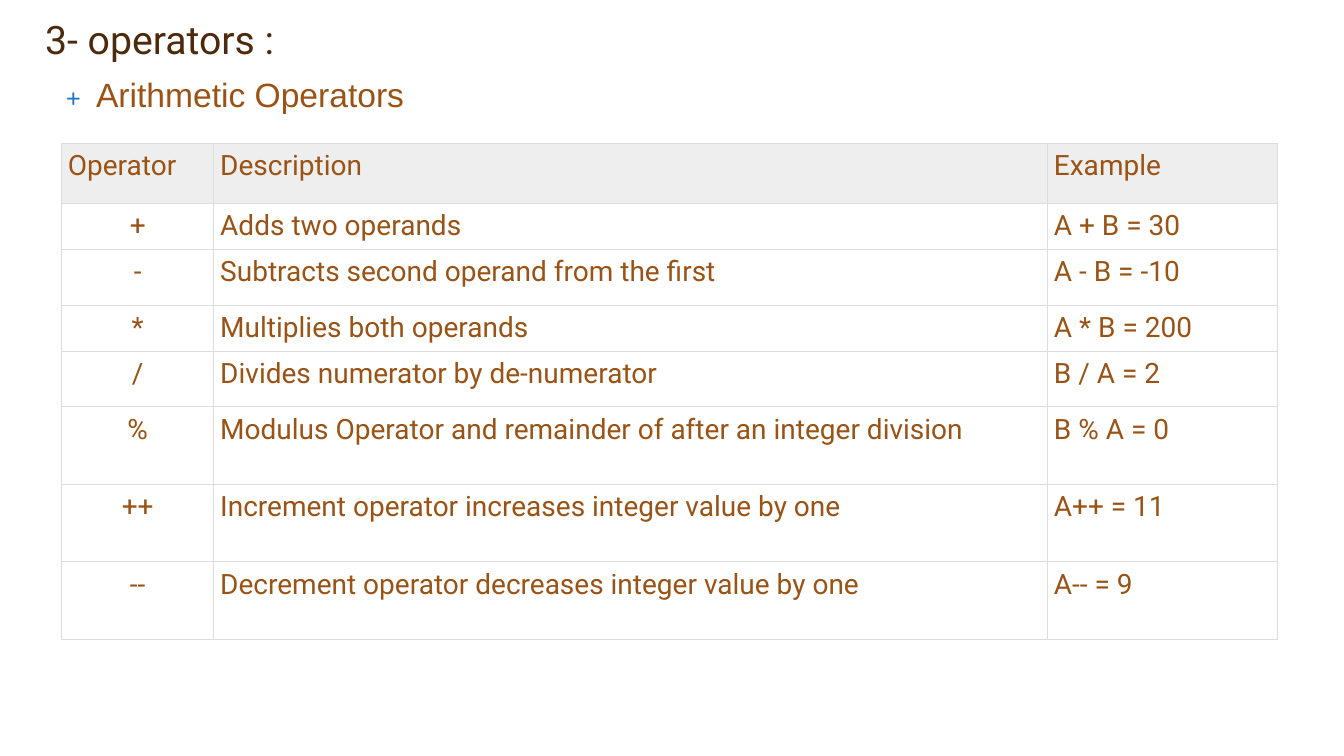
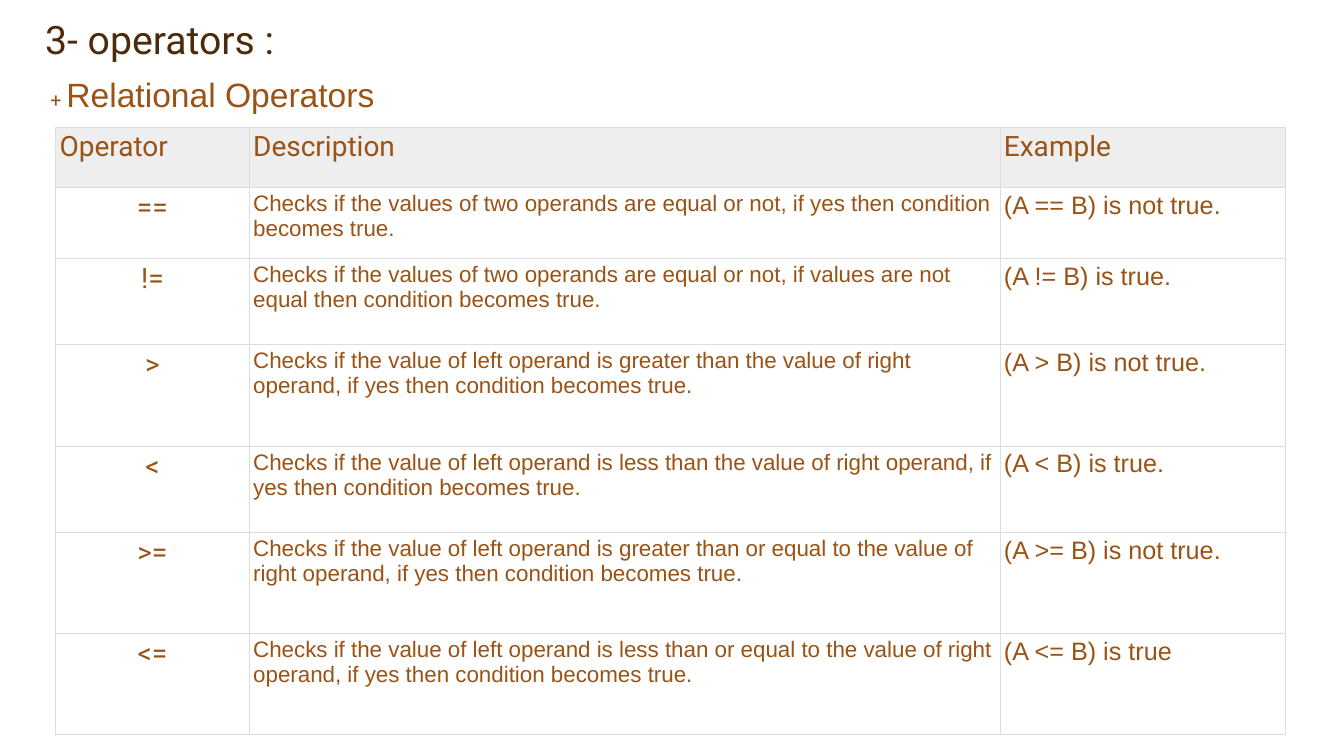
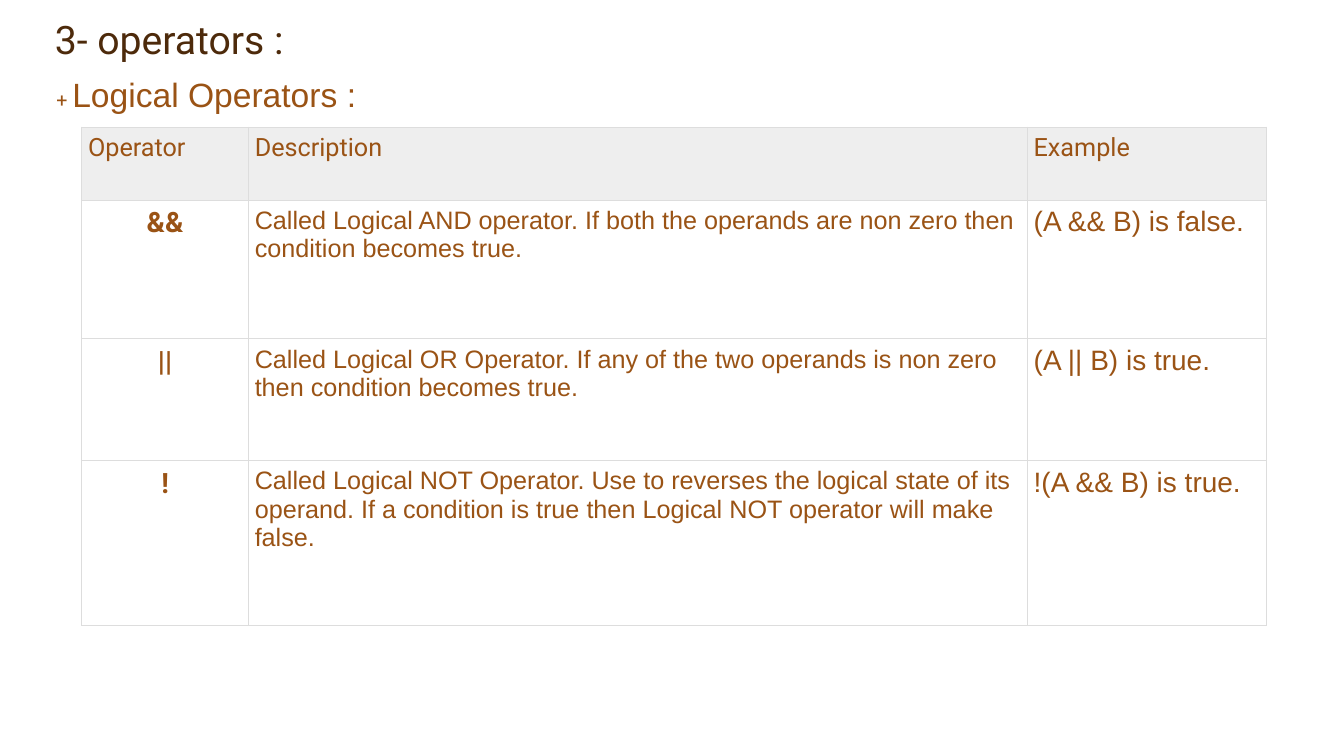
"""Build three slides that list operators in tables."""
from dataclasses import dataclass

from lxml.etree import SubElement
from pptx import Presentation
from pptx.dml.color import RGBColor
from pptx.enum.text import MSO_ANCHOR, MSO_AUTO_SIZE, PP_ALIGN
from pptx.oxml.ns import qn
from pptx.util import Cm, Pt

DARK_BROWN = RGBColor(0x4D, 0x2A, 0x0B)
BROWN = RGBColor(0x9A, 0x53, 0x15)
BLUE = RGBColor(0x1A, 0x72, 0xCB)
HEADER_GREY = RGBColor(0xEE, 0xEE, 0xEE)
BORDER_GREY = RGBColor(0xDD, 0xDD, 0xDD)

TITLE_ONLY = 5
HEADER = ("Operator", "Description", "Example")

ARITHMETIC = [
    ("+", "Adds two operands", "A + B = 30"),
    ("-", "Subtracts second operand from the first", "A - B = -10"),
    ("*", "Multiplies both operands", "A * B = 200"),
    ("/", "Divides numerator by de-numerator", "B / A = 2"),
    ("%", "Modulus Operator and remainder of after an integer division", "B % A = 0"),
    ("++", "Increment operator increases integer value by one", "A++ = 11"),
    ("--", "Decrement operator decreases integer value by one", "A-- = 9"),
]
RELATIONAL = [
    ("==", "Checks if the values of two operands are equal or not, "
           "if yes then condition becomes true.", "(A == B) is not true."),
    ("!=", "Checks if the values of two operands are equal or not, "
           "if values are not equal then condition becomes true.", "(A != B) is true."),
    (">", "Checks if the value of left operand is greater than the value of right operand, "
          "if yes then condition becomes true.", "(A > B) is not true."),
    ("<", "Checks if the value of left operand is less than the value of right operand, "
          "if yes then condition becomes true.", "(A < B) is true."),
    (">=", "Checks if the value of left operand is greater than or equal to the value of "
           "right operand, if yes then condition becomes true.", "(A >= B) is not true."),
    ("<=", "Checks if the value of left operand is less than or equal to the value of "
           "right operand, if yes then condition becomes true.", "(A <= B) is true"),
]
LOGICAL = [
    ("&&", "Called Logical AND operator. If both the operands are non zero "
           "then condition becomes true.", "(A && B) is false."),
    ("||", "Called Logical OR Operator. If any of the two operands is non zero "
           "then condition becomes true.", "(A || B) is true."),
    ("!", "Called Logical NOT Operator. Use to reverses the logical state of its operand. "
          "If a condition is true then Logical NOT operator will make false.",
     "!(A && B) is true."),
]


@dataclass
class TextStyle:
    """Font, size, colour and weight of a run."""
    font: str
    size: int
    color: RGBColor = BROWN
    bold: bool = False


TITLE = TextStyle("Roboto", 28, DARK_BROWN)
HEADING = TextStyle("Arial", 24)
SMALL_PLUS = TextStyle("Roboto", 14)
BLUE_PLUS = TextStyle("Courier New", 18, BLUE)
ROBOTO_20 = TextStyle("Roboto", 20)
ROBOTO_20_BOLD = TextStyle("Roboto", 20, bold=True)
ROBOTO_18 = TextStyle("Roboto", 18)
ARIAL_20 = TextStyle("Arial", 20)
ARIAL_18 = TextStyle("Arial", 18)
ARIAL_16 = TextStyle("Arial", 16)


def add_span(para, text, style):
    """Append a formatted run to a paragraph."""
    span = para.add_run()
    span.text = text
    span.font.name = style.font
    span.font.size = Pt(style.size)
    span.font.bold = style.bold
    span.font.color.rgb = style.color


def add_page(deck, indent):
    """Add a slide with the shared title, indented in centimetres."""
    page = deck.slides.add_slide(deck.slide_layouts[TITLE_ONLY])
    title = page.shapes.title
    title.left, title.top = Cm(0.64), Cm(0.25)
    title.width, title.height = Cm(27.94), Cm(1.47)
    frame = title.text_frame
    frame.auto_size = MSO_AUTO_SIZE.NONE
    frame.vertical_anchor = MSO_ANCHOR.BOTTOM
    frame.margin_left = Cm(indent)
    para = frame.paragraphs[0]
    para.alignment = PP_ALIGN.LEFT
    para.line_spacing = 0.9
    add_span(para, "3- operators :", TITLE)
    return page


def add_heading(page, text, left, plus_style, indent=0.25):
    """Add the line with a plus sign above the table."""
    box = page.shapes.add_textbox(Cm(left), Cm(1.73), Cm(26.14), Cm(1.47))
    frame = box.text_frame
    frame.word_wrap = True
    frame.margin_left = Cm(indent)
    para = frame.paragraphs[0]
    add_span(para, "+ ", plus_style)
    add_span(para, text, HEADING)


def add_borders(cell):
    """Draw a thin grey line on each side of a cell."""
    properties = cell._tc.get_or_add_tcPr()
    for position, side in enumerate(("a:lnL", "a:lnR", "a:lnT", "a:lnB")):
        line = SubElement(properties, qn(side), w=str(Pt(0.75)))
        fill = SubElement(line, qn("a:solidFill"))
        SubElement(fill, qn("a:srgbClr"), val=str(BORDER_GREY))
        properties.insert(position, line)


def fill_cell(cell, text, style, margin, is_header, centered):
    """Write and format one table cell."""
    cell.margin_left = cell.margin_right = Cm(margin)
    cell.margin_top = cell.margin_bottom = Cm(margin)
    if is_header:
        cell.fill.solid()
        cell.fill.fore_color.rgb = HEADER_GREY
    else:
        cell.fill.background()
    add_borders(cell)
    para = cell.text_frame.paragraphs[0]
    para.alignment = PP_ALIGN.CENTER if centered else PP_ALIGN.LEFT
    add_span(para, text, style)


def add_operator_table(page, rows, corner, widths, heights, header_style, styles, margin):
    """Add a table of operators; lengths are in centimetres."""
    left, top = corner
    table = page.shapes.add_table(
        len(rows) + 1, len(HEADER), Cm(left), Cm(top), Cm(sum(widths)), Cm(sum(heights))
    ).table
    table.horz_banding = False
    for column, width in zip(table.columns, widths):
        column.width = Cm(width)
    for row, height in zip(table.rows, heights):
        row.height = Cm(height)
    for row_index, texts in enumerate([HEADER, *rows]):
        is_header = row_index == 0
        for column_index, text in enumerate(texts):
            style = header_style if is_header else styles[column_index]
            centered = not is_header and column_index == 0
            fill_cell(table.cell(row_index, column_index), text, style,
                      margin, is_header, centered)


def main():
    """Build and save the deck."""
    deck = Presentation()
    deck.slide_width, deck.slide_height = Cm(33.87), Cm(19.05)

    page = add_page(deck, 0.5)
    add_heading(page, "Arithmetic Operators", 1.02, BLUE_PLUS, indent=0.64)
    add_operator_table(
        page, ARITHMETIC, (1.55, 3.61), (3.84, 21.01, 5.79),
        (1.51, 1.15, 1.4, 1.15, 1.4, 1.95, 1.95, 1.95),
        ROBOTO_20, (ROBOTO_20, ROBOTO_20, ROBOTO_20), 0.16)

    page = add_page(deck, 0.5)
    add_heading(page, "Relational Operators", 1.02, SMALL_PLUS)
    add_operator_table(
        page, RELATIONAL, (1.4, 3.2), (4.88, 18.92, 7.19),
        (1.52, 1.79, 2.18, 2.55, 2.18, 2.55, 2.55),
        ROBOTO_20, (ROBOTO_20, ARIAL_16, ARIAL_18), 0.1)

    page = add_page(deck, 0.74)
    add_heading(page, "Logical Operators :", 1.17, SMALL_PLUS)
    add_operator_table(
        page, LOGICAL, (2.06, 3.2), (4.2, 19.63, 6.02), (1.84, 3.5, 3.07, 4.14),
        ROBOTO_18, (ROBOTO_20_BOLD, ARIAL_18, ARIAL_20), 0.16)

    deck.save("out.pptx")


if __name__ == "__main__":
    main()
